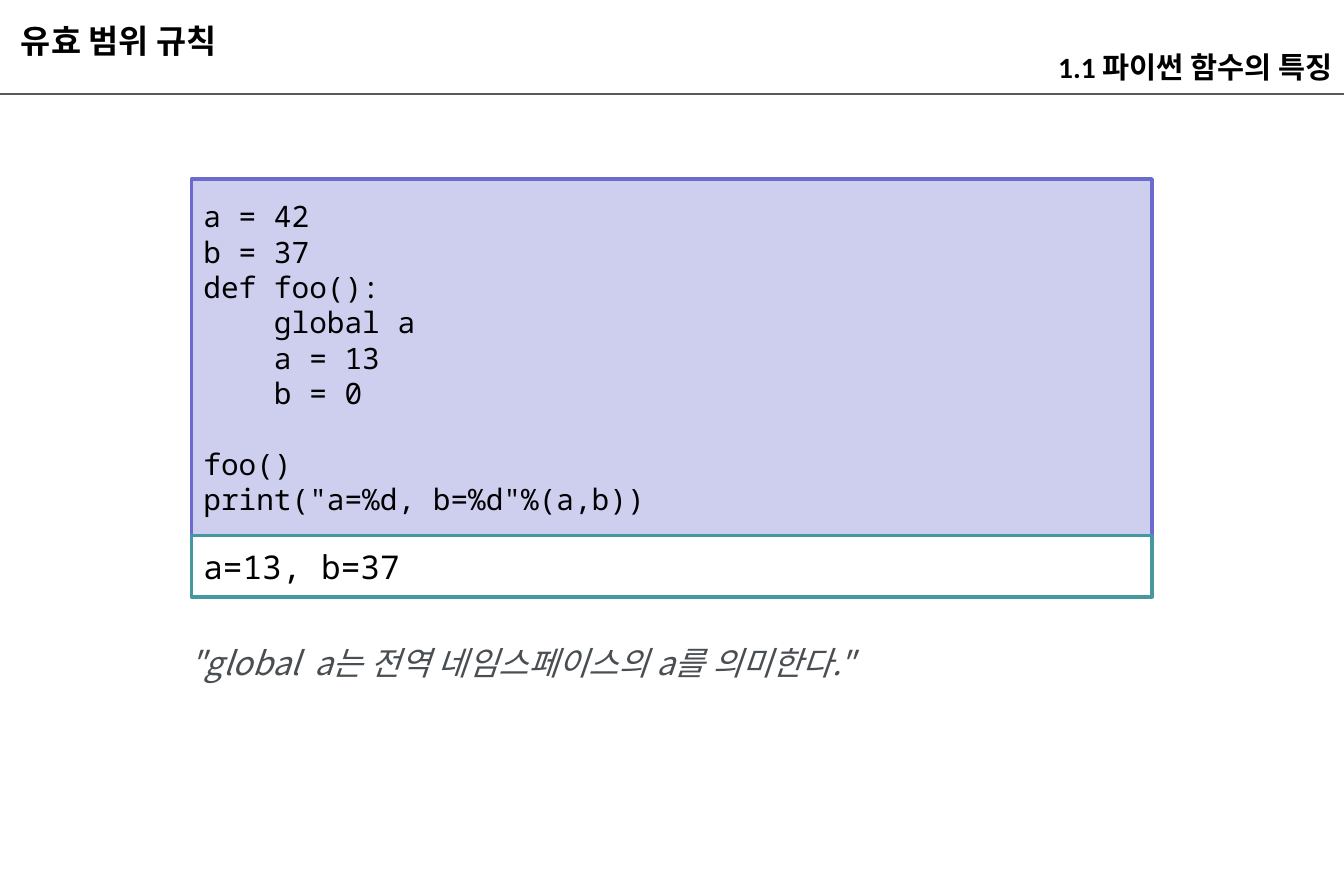
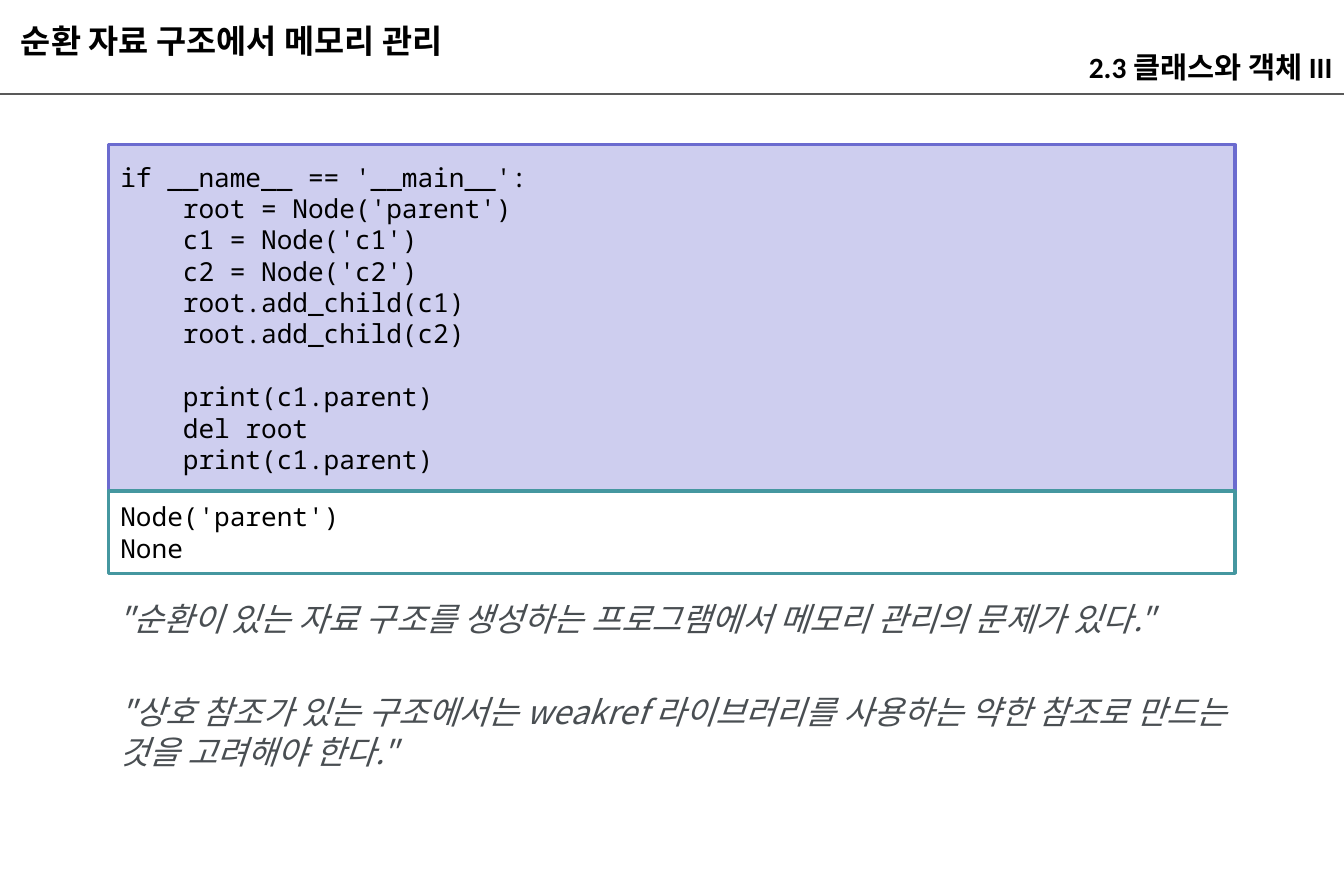
from lxml.etree import SubElement
from pptx import Presentation
from pptx.dml.color import RGBColor
from pptx.enum.shapes import MSO_CONNECTOR, MSO_SHAPE
from pptx.enum.text import MSO_ANCHOR as ANCHOR, PP_ALIGN as ALIGN
from pptx.oxml.ns import qn
from pptx.util import Inches, Pt

COLORS = {
    "text": "000000", "quote": "494E52", "rule": "595959",
    "code_fill": "CECEEF", "code_line": "6B6BCF",
    "output_fill": "FFFFFF", "output_line": "4597A0",
}
HEADING, MONO, KOREAN = "Calibri", "Noto Sans Mono", "Noto Sans CJK KR"
WIDTH, HEIGHT = 11.42, 7.5


def rgb(name):
    return RGBColor.from_string(COLORS[name])


class Deck:
    """Holds the shared style and the current slide."""

    def __init__(self):
        self.prs = Presentation()
        self.prs.slide_width, self.prs.slide_height = Inches(WIDTH), Inches(HEIGHT)
        self.s = None

    def slide(self, title, section):
        self.s = self.prs.slides.add_slide(self.prs.slide_layouts[6])
        self.rule(0.8)
        self.heading(title, 0.08, 0.09, 5.11, 20, ALIGN.LEFT)
        self.heading(section, 6.11, 0.3, 5.31, 18, ALIGN.RIGHT)

    def rule(self, y):
        line = self.s.shapes.add_connector(
            MSO_CONNECTOR.STRAIGHT, Inches(0), Inches(y), Inches(WIDTH), Inches(y))
        line.line.color.rgb = rgb("rule")
        line.line.width = Pt(1.5)
        SubElement(line._element.spPr, qn("a:effectLst"))

    def add_text(self, tf, text, size, font, color="text", bold=False,
                 italic=False, align=ALIGN.LEFT):
        tf.word_wrap = True
        for i, line in enumerate(text.split("\n")):
            p = tf.add_paragraph() if i else tf.paragraphs[0]
            p.alignment = align
            if not line:  # an empty line of code keeps its height
                end = SubElement(p._p, qn("a:endParaRPr"), sz=str(size * 100))
                SubElement(end, qn("a:latin"), typeface=font)
                continue
            r = p.add_run()
            r.text = line
            r.font.size, r.font.name = Pt(size), font
            r.font.bold, r.font.italic = bold, italic
            r.font.color.rgb = rgb(color)
            SubElement(r.font._element, qn("a:ea"), typeface=KOREAN)

    def textbox(self, x, y, w, h):
        return self.s.shapes.add_textbox(
            Inches(x), Inches(y), Inches(w), Inches(h)).text_frame

    def heading(self, text, x, y, w, size, align):
        tf = self.textbox(x, y, w, 0.44)
        tf.vertical_anchor = ANCHOR.BOTTOM
        tf.margin_top = tf.margin_bottom = Inches(0.02)
        self.add_text(tf, text, size, HEADING, bold=True, align=align)

    def panel(self, kind, text, x, y, w, h, size):
        sp = self.s.shapes.add_shape(
            MSO_SHAPE.RECTANGLE, Inches(x), Inches(y), Inches(w), Inches(h))
        sp.shadow.inherit = False
        sp.fill.solid()
        sp.fill.fore_color.rgb = rgb(kind + "_fill")
        sp.line.color.rgb = rgb(kind + "_line")
        sp.line.width = Pt(2)
        sp.text_frame.vertical_anchor = ANCHOR.MIDDLE
        self.add_text(sp.text_frame, text, size, MONO)

    def listing(self, code, output, y, w, code_h, output_h, code_size, output_size):
        """Code panel with its output right below, centred on the slide."""
        x = (WIDTH - w) / 2
        self.panel("code", code, x, y, w, code_h, code_size)
        self.panel("output", output, x, y + code_h, w, output_h, output_size)

    def quote(self, text, x, y, w, h=0.44):
        self.add_text(self.textbox(x, y, w, h), text, 20, KOREAN, "quote", italic=True)


SCOPE_CODE = """a = 42
b = 37
def foo():
    global a
    a = 13
    b = 0

foo()
print("a=%d, b=%d"%(a,b))"""

CYCLE_CODE = """if __name__ == '__main__':
    root = Node('parent')
    c1 = Node('c1')
    c2 = Node('c2')
    root.add_child(c1)
    root.add_child(c2)

    print(c1.parent)
    del root
    print(c1.parent)"""


def main():
    deck = Deck()

    # Scope rules
    deck.slide("유효 범위 규칙", "1.1 파이썬 함수의 특징")
    deck.listing(SCOPE_CODE, "a=13, b=37", 1.52, 8.16, 3.03, 0.52, 18, 20)
    deck.quote('"global  a는 전역 네임스페이스의 a를 의미한다."', 1.51, 5.41, 8.16)

    # Memory in cyclic structures
    deck.slide("순환 자료 구조에서 메모리 관리", "2.3 클래스와 객체 III")
    deck.listing(CYCLE_CODE, "Node('parent')\nNone", 1.23, 9.57, 2.94, 0.7, 16, 16)
    deck.quote('"순환이 있는 자료 구조를 생성하는 프로그램에서 메모리 관리의 문제가 있다."',
               0.9, 5.04, 9.62)
    deck.quote('"상호 참조가 있는 구조에서는 weakref 라이브러리를 사용하는 약한 참조로 '
               '만드는 것을 고려해야 한다."', 0.92, 5.83, 9.62, 0.77)

    deck.prs.save("out.pptx")


if __name__ == "__main__":
    main()
